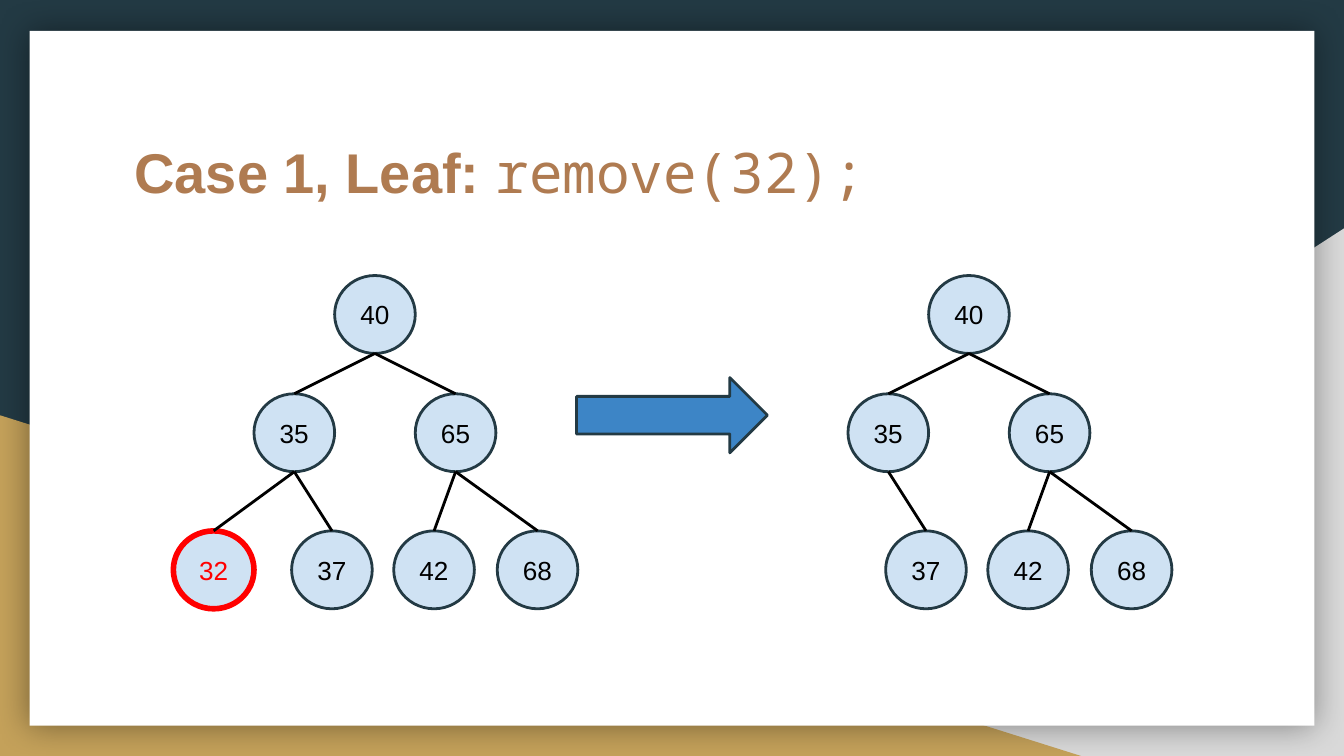
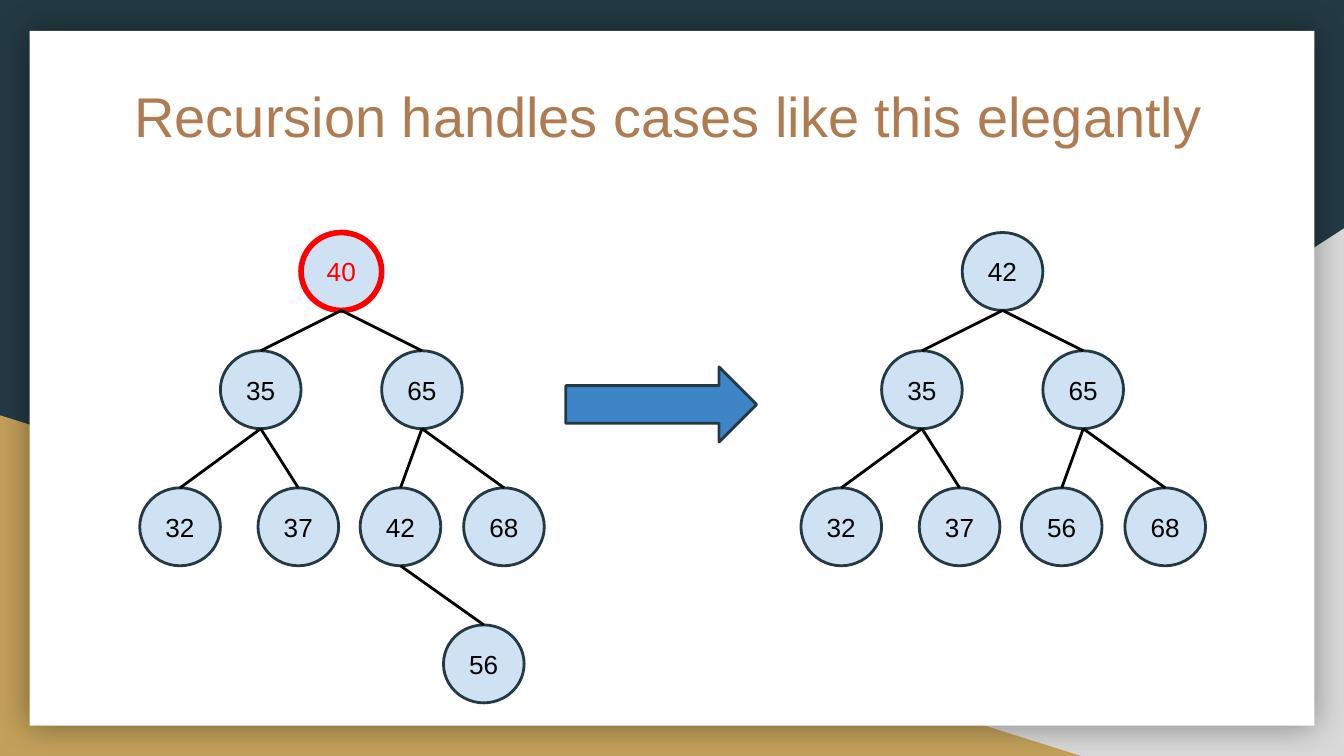
from lxml import etree
from pptx import Presentation
from pptx.dml.color import RGBColor
from pptx.enum import shapes, text
from pptx.oxml import ns
from pptx.util import Inches, Pt

NAVY = RGBColor(0x23, 0x3A, 0x44)
GREY = RGBColor(0xD9, 0xD9, 0xD9)
GOLD = RGBColor(0xC4, 0xA1, 0x5A)
WHITE = RGBColor(0xFF, 0xFF, 0xFF)
BROWN = RGBColor(0xAF, 0x7B, 0x51)
PALE_BLUE = RGBColor(0xCF, 0xE2, 0xF3)
BLUE = RGBColor(0x3D, 0x85, 0xC6)
RED = RGBColor(0xFF, 0x00, 0x00)
BLACK = RGBColor(0x00, 0x00, 0x00)

SHAPE = shapes.MSO_SHAPE
NODE_W, NODE_H = 0.6, 0.58

# Tree slot: (parent slot, centre offset and top offset from the root)
SLOTS = {
    "root": (None, 0, 0),
    "L": ("root", -0.6, 0.88),
    "R": ("root", 0.6, 0.88),
    "LL": ("L", -1.2, 1.9),
    "LR": ("L", -0.32, 1.9),
    "RL": ("R", 0.44, 1.9),
    "RR": ("R", 1.21, 1.9),
    "RLR": ("RL", 1.06, 2.92),
}

# Each tree: root centre, root top, values by slot, slot marked in red
SLIDES = [
    {
        "title": [("Case 1, Leaf: ", "Arial", True),
                  ("remove(32);", "Noto Sans Mono", False)],
        "title_top": 0.92,
        "arrow": (4.29, 2.81),
        "trees": [
            (2.79, 2.05, {"root": 40, "L": 35, "R": 65, "LL": 32, "LR": 37,
                          "RL": 42, "RR": 68}, "LL"),
            (7.21, 2.05, {"root": 40, "L": 35, "R": 65, "LR": 37,
                          "RL": 42, "RR": 68}, None),
        ],
    },
    {
        "title": [("Recursion handles cases like this elegantly", "Arial", False)],
        "title_top": 0.51,
        "arrow": (4.21, 2.73),
        "trees": [
            (2.54, 1.73, {"root": 40, "L": 35, "R": 65, "LL": 32, "LR": 37,
                          "RL": 42, "RR": 68, "RLR": 56}, "root"),
            (7.46, 1.73, {"root": 42, "L": 35, "R": 65, "LL": 32, "LR": 37,
                          "RL": 56, "RR": 68}, None),
        ],
    },
]


def add_filled(s, kind, box, fill, line=None, width=1.5):
    sp = s.shapes.add_shape(kind, *[Inches(v) for v in box])
    sp.shadow.inherit = False
    sp.fill.solid()
    sp.fill.fore_color.rgb = fill
    if line is None:
        sp.line.fill.background()
    else:
        sp.line.color.rgb = line
        sp.line.width = Pt(width)
    return sp


def add_tree(s, centre, top, values, marked):
    for slot, value in values.items():
        _, dx, dy = SLOTS[slot]
        box = (centre + dx - NODE_W / 2, top + dy, NODE_W, NODE_H)
        red = slot == marked
        sp = add_filled(s, SHAPE.OVAL, box, PALE_BLUE,
                        RED if red else NAVY, 3 if red else 1.5)
        tf = sp.text_frame
        tf.margin_left = tf.margin_right = Inches(0.1)
        tf.margin_top = tf.margin_bottom = Inches(0.1)
        tf.vertical_anchor = text.MSO_ANCHOR.MIDDLE
        p = tf.paragraphs[0]
        p.text = str(value)
        p.alignment = text.PP_ALIGN.CENTER
        p.font.name = "Arial"
        p.font.size = Pt(14)
        p.font.color.rgb = RED if red else BLACK
    for slot in values:
        parent, dx, dy = SLOTS[slot]
        if parent is None:
            continue
        _, parent_dx, parent_dy = SLOTS[parent]
        edge = s.shapes.add_connector(
            shapes.MSO_CONNECTOR.STRAIGHT,
            Inches(centre + parent_dx), Inches(top + parent_dy + NODE_H),
            Inches(centre + dx), Inches(top + dy))
        edge.line.color.rgb = BLACK
        edge.line.width = Pt(1.5)
        etree.SubElement(edge.element.spPr, ns.qn("a:effectLst"))


prs = Presentation()
prs.slide_width = Inches(10)
prs.slide_height = prs.slide_width * 9 // 16
layout = prs.slide_layouts.get_by_name("Title Only")
layout.background.fill.solid()
layout.background.fill.fore_color.rgb = NAVY

for number, content in enumerate(SLIDES):
    s = prs.slides.add_slide(layout)

    if number == 0:
        # Shapes can only be added to slides, so the backdrop moves to the layout
        grey = add_filled(s, SHAPE.RIGHT_TRIANGLE, (3.92, 1.7, 6.08, 3.93), GREY)
        grey.element.spPr.find(ns.qn("a:xfrm")).set("flipH", "1")
        gold = add_filled(s, SHAPE.RIGHT_TRIANGLE, (0, 3.09, 8.06, 2.54), GOLD)
        card = add_filled(s, SHAPE.RECTANGLE, (0.22, 0.23, 9.56, 5.17), WHITE)
        effects = card.element.spPr.find(ns.qn("a:effectLst"))
        shadow = etree.SubElement(effects, ns.qn("a:outerShdw"),
                                  blurRad=str(Pt(18)), dist="0", dir="0",
                                  algn="ctr", rotWithShape="0")
        colour = etree.SubElement(shadow, ns.qn("a:srgbClr"), val=str(BLACK))
        etree.SubElement(colour, ns.qn("a:alpha"), val="40000")
        for index, sp in enumerate((grey, gold, card), start=2):
            layout.shapes.element.insert(index, sp.element)

    title = s.shapes.title
    title.left, title.top = Inches(0.9), Inches(content["title_top"])
    title.width, title.height = Inches(8.21), Inches(1.04)
    tf = title.text_frame
    tf.word_wrap = True
    tf.auto_size = text.MSO_AUTO_SIZE.NONE
    tf.vertical_anchor = text.MSO_ANCHOR.TOP
    tf.margin_left = tf.margin_right = Inches(0.1)
    tf.margin_top = tf.margin_bottom = Inches(0.1)
    p = tf.paragraphs[0]
    p.alignment = text.PP_ALIGN.LEFT
    p.font.size = Pt(30)
    p.font.color.rgb = BROWN
    for words, font, bold in content["title"]:
        r = p.add_run()
        r.text = words
        r.font.name = font
        r.font.bold = bold

    for tree in content["trees"]:
        add_tree(s, *tree)
    add_filled(s, SHAPE.RIGHT_ARROW, (*content["arrow"], 1.42, 0.56), BLUE, NAVY)

prs.save("out.pptx")
